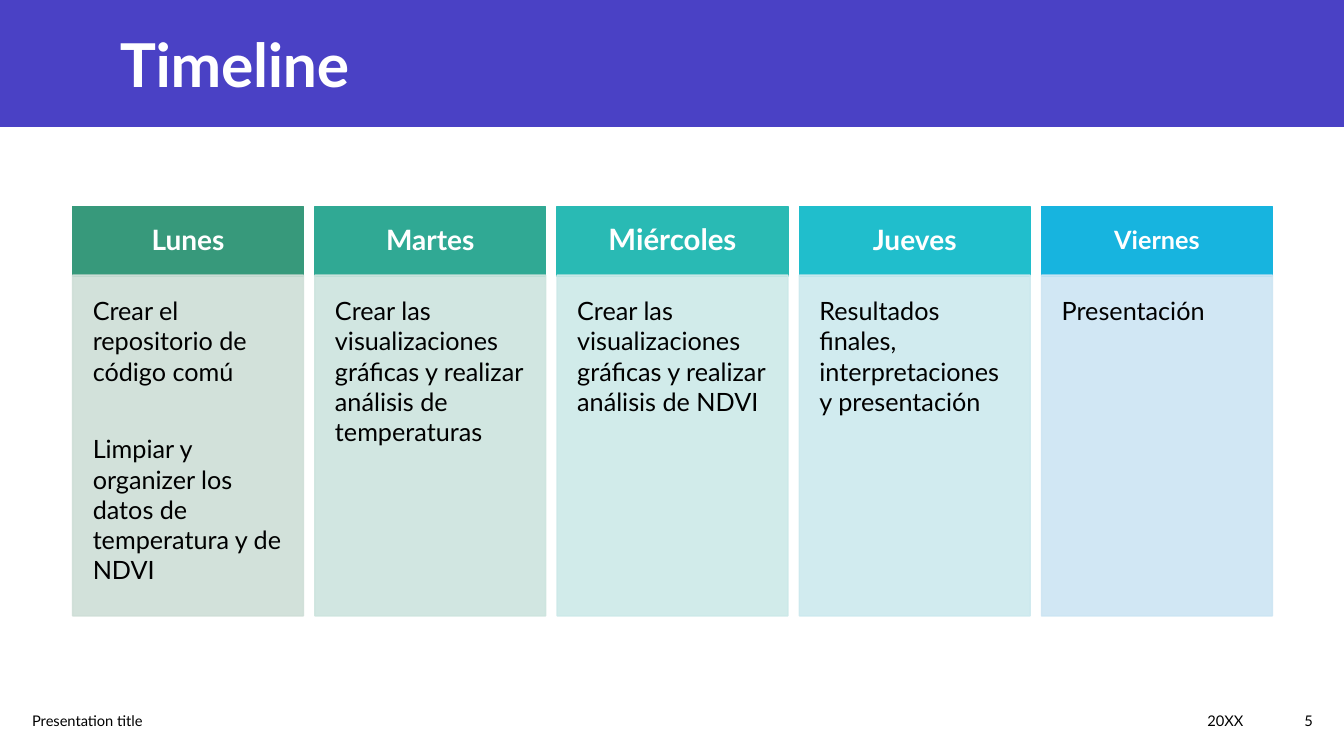
from pptx import Presentation
from pptx.dml.color import RGBColor
from pptx.enum.shapes import MSO_SHAPE as Shape
from pptx.enum.text import MSO_ANCHOR as Anchor, PP_ALIGN as Align
from pptx.oxml.ns import qn
from pptx.oxml.xmlchemy import OxmlElement as Element
from pptx.util import Inches, Pt

deck = Presentation()
deck.slide_width, deck.slide_height = Inches(13.33), Inches(7.5)
slide = deck.slides.add_slide(deck.slide_layouts[6])


def add_rect(left, top, width, height, color, line=True, alpha=100):
    rect = slide.shapes.add_shape(
        Shape.RECTANGLE, Inches(left), Inches(top), Inches(width), Inches(height))
    rect.shadow.inherit = False
    rect.fill.solid()
    rect.fill.fore_color.rgb = RGBColor.from_string(color)
    if line:
        rect.line.color.rgb = RGBColor.from_string(color)
        rect.line.width = Pt(1)
    else:
        rect.line.fill.background()
    if alpha < 100:
        for tint in rect._element.spPr.iter(qn("a:srgbClr")):
            node = Element("a:alpha")
            node.set("val", str(alpha * 1000))
            tint.append(node)
    return rect


def put_text(shape, *texts, size, color="000000", bold=False, align=Align.LEFT,
             anchor=Anchor.MIDDLE, inset=None, gap=0, leading=1.0, kern=0):
    """Fill a shape with one paragraph per text, gap points apart."""
    frame = shape.text_frame
    frame.word_wrap = True
    frame.vertical_anchor = anchor
    if inset is not None:
        frame.margin_left = frame.margin_right = Inches(inset)
        frame.margin_top = frame.margin_bottom = Inches(inset)
    for i, text in enumerate(texts):
        para = frame.add_paragraph() if i else frame.paragraphs[0]
        para.alignment = align
        para.line_spacing = leading
        if i:
            para.space_before = Pt(gap)
        run = para.add_run()
        run.text = text
        run.font.name = "Lato"
        run.font.size = Pt(size)
        run.font.bold = bold
        run.font.color.rgb = RGBColor.from_string(color)
        if kern:
            run._r.get_or_add_rPr().set("spc", str(kern))


add_rect(0, 0, 13.33, 1.26, "4A41C5", line=False)
title = slide.shapes.add_textbox(Inches(1.09), Inches(0.21), Inches(10.96), Inches(0.83))
put_text(title, "Timeline", size=43.2, color="FFFFFF", bold=True, kern=-20)

days = [
    ("Lunes", 20, "37997B", "CEDED7",
     ["Crear el repositorio de código comú",
      "Limpiar y organizer los datos de temperatura y de NDVI"]),
    ("Martes", 20, "30A994", "CDE4DE",
     ["Crear las visualizaciones gráficas y realizar análisis de temperaturas"]),
    ("Miércoles", 21, "29BAB4", "CCE9E8",
     ["Crear las visualizaciones gráficas y realizar análisis de NDVI"]),
    ("Jueves", 20, "20BECC", "CCE9EE",
     ["Resultados finales, interpretaciones y presentación"]),
    ("Viernes", 18, "17B4DF", "CCE5F3", ["Presentación"]),
]
first, last, width = 0.72, 10.33, 2.29
step = (last - first) / (len(days) - 1)
for i, (day, size, dark, pale, tasks) in enumerate(days):
    left = first + i * step
    head = add_rect(left, 2.05, width, 0.69, dark)
    put_text(head, day, size=size, color="FFFFFF", bold=True,
             align=Align.CENTER, inset=0.18, leading=0.9)
    body = add_rect(left, 2.73, width, 3.38, pale, alpha=90)
    put_text(body, *tasks, size=18, anchor=Anchor.TOP, inset=0.2, gap=34)

for text, left, wide, align in [
    ("Presentation title", 0.22, 5.29, Align.LEFT),
    ("20XX", 7.67, 4.76, Align.RIGHT),
    ("5", 12.43, 0.69, Align.RIGHT),
]:
    note = slide.shapes.add_textbox(Inches(left), Inches(6.95), Inches(wide), Inches(0.4))
    put_text(note, text, size=10.5, align=align)

deck.save("out.pptx")
